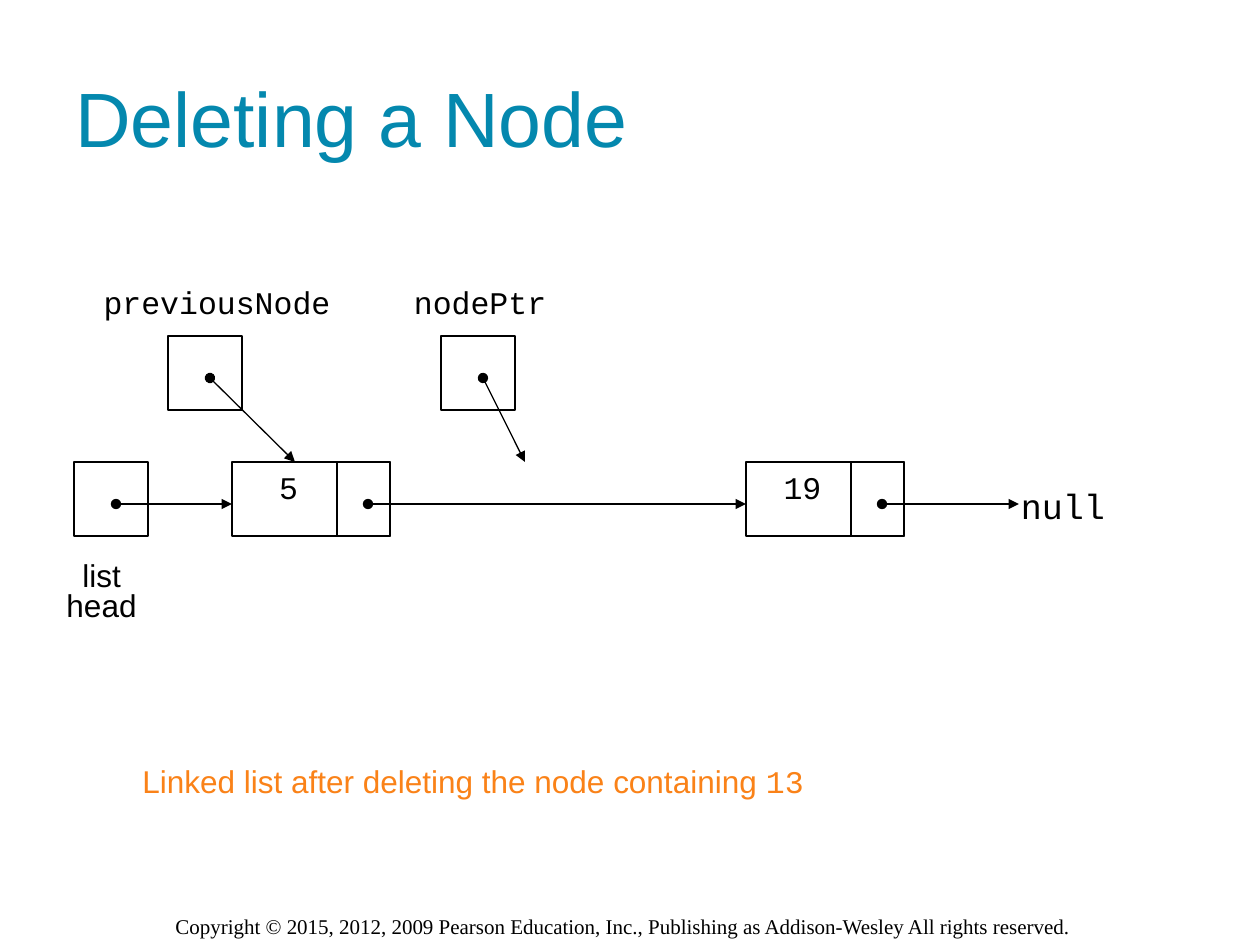
from lxml import etree
from pptx import Presentation
from pptx.dml.color import RGBColor
from pptx.enum.shapes import MSO_CONNECTOR as CONNECTOR, MSO_SHAPE as SHAPE
from pptx.enum.text import MSO_ANCHOR as ANCHOR, PP_ALIGN as ALIGN
from pptx.oxml.ns import qn
from pptx.util import Emu, Pt

PX = 914400 / 126
BLACK, TEAL, ORANGE = "000000", "0488AE", "FA8218"
SANS, MONO, SERIF = "Arial", "Courier New", "Times New Roman"
CELL = 74
NODE_WIDTH, VALUE_WIDTH = 158, 105
LIST_TOP, POINTER_TOP = 462, 336
DOT_OFFSET = 42


def px(length):
    return Emu(round(length * PX))


def color(hex_string):
    return RGBColor.from_string(hex_string)


def add_text(slide, box, paragraphs, size=18, font=SANS, fill=BLACK,
             align=ALIGN.CENTER, spacing=None, anchor=ANCHOR.TOP, wrap=False):
    """Each paragraph is a list of (text, font) runs or a plain string."""
    frame = slide.shapes.add_textbox(*map(px, box)).text_frame
    frame.word_wrap = wrap
    frame.vertical_anchor = anchor
    for index, content in enumerate(paragraphs):
        paragraph = frame.add_paragraph() if index else frame.paragraphs[0]
        paragraph.alignment = align
        if spacing:
            paragraph.line_spacing = spacing
        runs = [(content, font)] if isinstance(content, str) else content
        for text, run_font in runs:
            run = paragraph.add_run()
            run.text = text
            run.font.name = run_font
            run.font.size = Pt(size)
            run.font.color.rgb = color(fill)


def add_cell(slide, left, top, width=CELL):
    cell = slide.shapes.add_shape(SHAPE.RECTANGLE, *map(px, (left, top, width, CELL)))
    cell.shadow.inherit = False
    cell.fill.background()
    cell.line.color.rgb = color(BLACK)
    cell.line.width = Pt(0.75)


def add_arrow(slide, start, end):
    """Draw a reference: a dot at the start, an arrowhead at the end."""
    arrow = slide.shapes.add_connector(CONNECTOR.STRAIGHT, *map(px, start + end))
    arrow.line.color.rgb = color(BLACK)
    arrow.line.width = Pt(0.75)
    line = arrow.line._get_or_add_ln()
    etree.SubElement(line, qn("a:headEnd"), type="oval")
    etree.SubElement(line, qn("a:tailEnd"), type="triangle")
    etree.SubElement(arrow._element.spPr, qn("a:effectLst"))


def add_pointer(slide, left, top, target):
    add_cell(slide, left, top)
    add_arrow(slide, (left + DOT_OFFSET, top + DOT_OFFSET), target)


def add_node(slide, left, value, next_left):
    add_cell(slide, left, LIST_TOP, NODE_WIDTH)
    add_cell(slide, left + VALUE_WIDTH, LIST_TOP, NODE_WIDTH - VALUE_WIDTH)
    add_text(slide, (left + 25, LIST_TOP, 63, 50), [value], font=MONO)
    link_y = LIST_TOP + DOT_OFFSET
    add_arrow(slide, (left + 136, link_y), (next_left, link_y))


def main():
    deck = Presentation()
    deck.slide_width, deck.slide_height = px(1260), px(945)
    slide = deck.slides.add_slide(deck.slide_layouts[6])

    add_text(slide, (163, 907, 935, 38),
             ["Copyright © 2015, 2012, 2009 Pearson Education, Inc., "
              "Publishing as Addison-Wesley All rights reserved."],
             size=12, font=SERIF, align=ALIGN.LEFT, wrap=True)
    add_text(slide, (63, 38, 1134, 158), ["Deleting a Node"], size=44, fill=TEAL,
             align=ALIGN.LEFT, anchor=ANCHOR.MIDDLE, wrap=True)

    first_left, last_left, null_left = 232, 746, 1019
    add_pointer(slide, 74, LIST_TOP, (first_left, LIST_TOP + DOT_OFFSET))
    add_text(slide, (54, 557, 95, 73), ["list", "head"], spacing=0.8)
    add_node(slide, first_left, "5", last_left)
    add_node(slide, last_left, "19", null_left)
    add_text(slide, (1008, 470, 110, 59), ["null"], size=20, font=MONO, spacing=1.2)

    pointers = [("previousNode", 168, 91, 252, 295), ("nodePtr", 441, 401, 158, 525)]
    for name, left, label_left, label_width, target_x in pointers:
        add_pointer(slide, left, POINTER_TOP, (target_x, LIST_TOP))
        add_text(slide, (label_left, 284, label_width, 43), [name],
                 font=MONO, spacing=0.8)

    add_text(slide, (130, 756, 687, 50),
             [[("Linked list after deleting the node containing ", SANS), ("13", MONO)]],
             fill=ORANGE, align=ALIGN.LEFT)
    deck.save("out.pptx")


if __name__ == "__main__":
    main()
